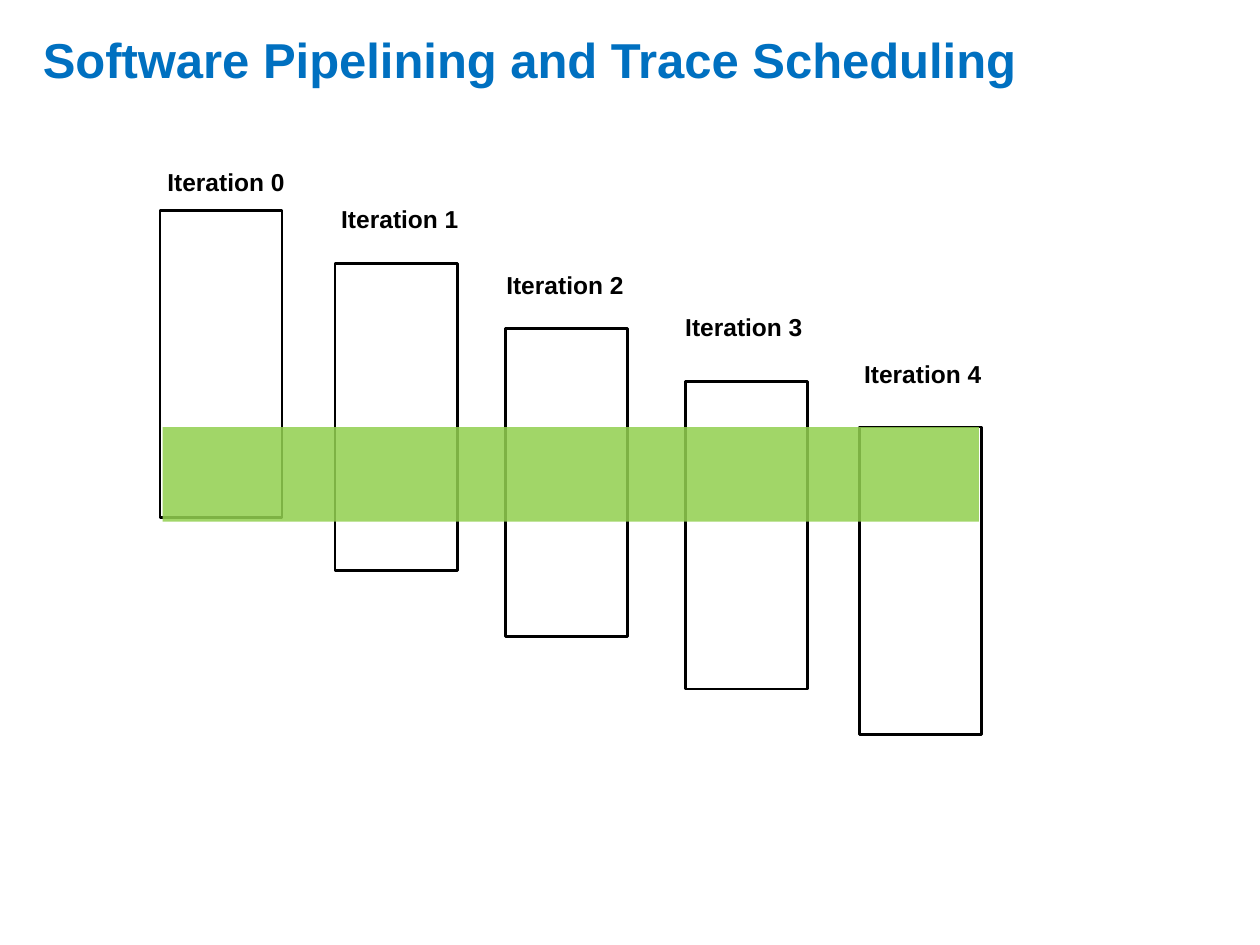
import pptx
import pptx.util
import pptx.dml.color
import pptx.enum.shapes
import pptx.enum.text
import pptx.oxml.ns
import lxml.etree

Pt = pptx.util.Pt
TITLE = "Software Pipelining and Trace Scheduling"
COLORS = {"title": "0070C0", "ink": "000000", "kernel": "92D050"}
FONT = "Arial"
KERNEL_OPACITY = 86
BAR_SIZE = (69.84, 175.68)
LABEL_SIZE = (81.36, 24.48)
KERNEL_BOX = (92.88, 244.08, 466.56, 54)
ITERATIONS = [
    {"bar": (91.44, 120.24), "label": (88.56, 92.16)},
    {"bar": (191.52, 150.48), "label": (187.92, 113.04)},
    {"bar": (288.72, 187.92), "label": (282.24, 150.48)},
    {"bar": (391.68, 218.16), "label": (384.48, 174.96)},
    {"bar": (491.04, 244.08), "label": (486.72, 201.6)},
]


def rgb(name):
    return pptx.dml.color.RGBColor.from_string(COLORS[name])


def write(frame, text, size, color):
    paragraph = frame.paragraphs[0]
    paragraph.alignment = pptx.enum.text.PP_ALIGN.LEFT
    run = paragraph.add_run()
    run.text = text
    run.font.name = FONT
    run.font.size = Pt(size)
    run.font.bold = True
    run.font.color.rgb = rgb(color)


def add_rectangle(box):
    rectangle = slide.shapes.add_shape(
        pptx.enum.shapes.MSO_SHAPE.RECTANGLE, *map(Pt, box))
    rectangle.shadow.inherit = False
    return rectangle


deck = pptx.Presentation()
deck.slide_width, deck.slide_height = Pt(720), Pt(540)
slide = deck.slides.add_slide(deck.slide_layouts[5])

title = slide.shapes.title
title.left, title.top, title.width, title.height = map(Pt, (17.28, 0.72, 691.2, 66.24))
title.text_frame.word_wrap = False
title.text_frame.auto_size = pptx.enum.text.MSO_AUTO_SIZE.NONE
title.text_frame.vertical_anchor = pptx.enum.text.MSO_ANCHOR.MIDDLE
write(title.text_frame, TITLE, 28, "title")

for iteration in ITERATIONS:
    bar = add_rectangle(iteration["bar"] + BAR_SIZE)
    bar.fill.background()
    bar.line.color.rgb = rgb("ink")
    bar.line.width = Pt(1.5)

kernel = add_rectangle(KERNEL_BOX)
kernel.fill.solid()
kernel.fill.fore_color.rgb = rgb("kernel")
kernel.line.fill.background()
kernel_color = kernel.fill._xPr.find(".//" + pptx.oxml.ns.qn("a:srgbClr"))
lxml.etree.SubElement(kernel_color, pptx.oxml.ns.qn("a:alpha"),
                      val=str(KERNEL_OPACITY * 1000))

for number, iteration in enumerate(ITERATIONS):
    label = slide.shapes.add_textbox(*map(Pt, iteration["label"] + LABEL_SIZE))
    label.text_frame.word_wrap = True
    label.text_frame.auto_size = pptx.enum.text.MSO_AUTO_SIZE.SHAPE_TO_FIT_TEXT
    write(label.text_frame, f"Iteration {number}", 14, "ink")

deck.save("out.pptx")
